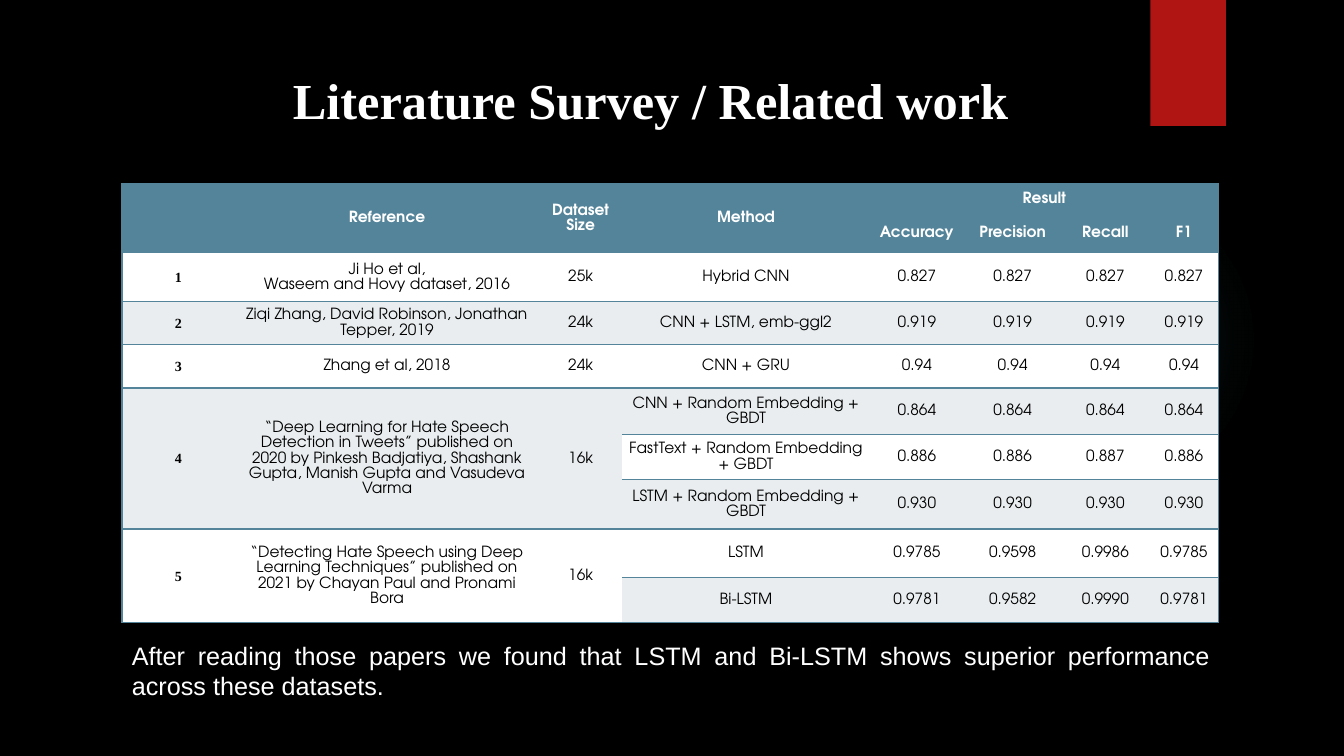
from dataclasses import dataclass
from pptx import Presentation, util as u
from pptx.dml.color import RGBColor
from pptx.enum import shapes, text
from pptx.oxml import parse_xml
from pptx.oxml.ns import nsdecls

TITLE = "Literature Survey / Related work"
CLOSING = ("After reading those papers we found that LSTM and Bi-LSTM shows "
           "superior performance across these datasets.")
HEADER = [
    ["", "Reference", "Dataset Size", "Method", "Result", None, None, None],
    [None, None, None, None, "Accuracy", "Precision", "Recall", "F1"],
]
PAPERS = [
    ("1", "Ji Ho et al,\nWaseem and Hovy dataset, 2016", "25k",
     [("Hybrid CNN", "0.827", "0.827", "0.827", "0.827")]),
    ("2", "Ziqi Zhang, David Robinson, Jonathan Tepper, 2019", "24k",
     [("CNN + LSTM, emb-ggl2", "0.919", "0.919", "0.919", "0.919")]),
    ("3", "Zhang et al, 2018", "24k",
     [("CNN + GRU", "0.94", "0.94", "0.94", "0.94")]),
    ("4", "“Deep Learning for Hate Speech Detection in Tweets” published on 2020 by "
          "Pinkesh Badjatiya, Shashank Gupta, Manish Gupta and Vasudeva Varma", "16k",
     [("CNN + Random Embedding + GBDT", "0.864", "0.864", "0.864", "0.864"),
      ("FastText + Random Embedding + GBDT", "0.886", "0.886", "0.887", "0.886"),
      ("LSTM + Random Embedding + GBDT", "0.930", "0.930", "0.930", "0.930")]),
    ("5", "“Detecting Hate Speech using Deep Learning Techniques” published on 2021 by "
          "Chayan Paul and Pronami Bora", "16k",
     [("LSTM", "0.9785", "0.9598", "0.9986", "0.9785"),
      ("Bi-LSTM", "0.9781", "0.9582", "0.9990", "0.9781")]),
]
COLUMNS = [1.12, 3.02, 0.82, 2.46, 0.93, 0.97, 0.87, 0.69]
ROWS = [0.3, 0.31, 0.48, 0.43, 0.43, 0.46, 0.45, 0.49, 0.48, 0.45]
LEFT, WIDTH, TABLE_TOP = 1.21, 10.89, 1.82
NO_GRID = "{2D5ABB26-0587-4C30-8999-92F81FD0307C}"


@dataclass(frozen=True)
class Theme:
    back: str = "000000"
    light: str = "FFFFFF"
    band: str = "E9EDEF"
    accent: str = "54849A"
    ribbon: str = "B01513"
    glow: str = "50B9C1"
    serif: str = "Times New Roman"
    sans: str = "Arial"
    grid: str = "TeX Gyre Adventor"
    title: int = 36
    closing: int = 18
    cell: int = 11
    number: int = 10


THEME = Theme()


def write(frame, content, font, size, color, align, bold=False, spacing=None):
    frame.word_wrap = True
    for index, line in enumerate(content.split("\n")):
        para = frame.add_paragraph() if index else frame.paragraphs[0]
        para.alignment = align
        if spacing:
            para.line_spacing = spacing
        span = para.add_run()
        span.text = line
        span.font.name, span.font.size, span.font.bold = font, u.Pt(size), bold
        span.font.color.rgb = RGBColor.from_string(color)


def add_text(page, area, *style, **options):
    box = page.shapes.add_textbox(*map(u.Inches, area))
    write(box.text_frame, *style, **options)


def add_block(page, kind, area, color):
    block = page.shapes.add_shape(kind, *map(u.Inches, area))
    block.shadow.inherit = False
    block.line.fill.background()
    block.fill.solid()
    block.fill.fore_color.rgb = RGBColor.from_string(color)
    return block


def add_glow(page):
    glow = add_block(page, shapes.MSO_SHAPE.OVAL, (9.41, 1.83, 3.08, 3.08), THEME.glow)
    stops = "".join(
        f'<a:gs pos="{place * 1000}"><a:srgbClr val="{THEME.glow}">'
        f'<a:alpha val="{alpha * 1000}"/></a:srgbClr></a:gs>'
        for place, alpha in ((0, 7), (36, 6), (69, 0), (100, 0)))
    gradient = parse_xml(
        f'<a:gradFill {nsdecls("a")}><a:gsLst>{stops}</a:gsLst><a:path path="circle">'
        '<a:fillToRect l="50000" t="50000" r="50000" b="50000"/></a:path></a:gradFill>')
    solid = glow.element.spPr.find(".//{*}solidFill")
    solid.getparent().replace(solid, gradient)


def add_borders(cell, sides):
    properties = cell._tc.get_or_add_tcPr()
    for side in sides:
        properties.append(parse_xml(
            f'<a:ln{side} {nsdecls("a")} w="12700"><a:solidFill>'
            f'<a:srgbClr val="{THEME.accent}"/></a:solidFill></a:ln{side}>'))


def survey_rows():
    rows = list(HEADER)
    for number, reference, size, results in PAPERS:
        for index, result in enumerate(results):
            rows.append([*((None,) * 3 if index else (number, reference, size)), *result])
    return rows


def merge_groups(table):
    table.cell(0, 4).merge(table.cell(0, 7))
    for column in range(4):
        table.cell(0, column).merge(table.cell(1, column))
    top = len(HEADER)
    for paper in PAPERS:
        bottom = top + len(paper[-1]) - 1
        if bottom > top:
            for column in range(3):
                table.cell(top, column).merge(table.cell(bottom, column))
        top = bottom + 1


def style_cell(cell, content, row, column):
    header = row < len(HEADER)
    cell.margin_left = cell.margin_right = u.Inches(0.07)
    cell.margin_top = cell.margin_bottom = 0
    cell.vertical_anchor = text.MSO_ANCHOR.MIDDLE
    if not cell.is_spanned:
        right = column + cell.span_width if cell.is_merge_origin else column + 1
        add_borders(cell, ("L" if column == 0 else "")
                    + ("R" if right == len(COLUMNS) else "") + "TB")
    cell.fill.solid()
    color = THEME.accent if header else (THEME.band if row % 2 else THEME.light)
    cell.fill.fore_color.rgb = RGBColor.from_string(color)
    if content:
        number = column == 0
        write(cell.text_frame, content, THEME.serif if number else THEME.grid,
              THEME.number if number else THEME.cell,
              THEME.light if header else THEME.back,
              text.PP_ALIGN.CENTER, bold=header or number, spacing=1.06)
    else:
        ending = cell.text_frame.paragraphs[0]._p.get_or_add_endParaRPr()
        ending.set("sz", str(THEME.cell * 100))


def add_survey(page):
    rows = survey_rows()
    area = (LEFT, TABLE_TOP, WIDTH, sum(ROWS))
    frame = page.shapes.add_table(len(rows), len(COLUMNS), *map(u.Inches, area))
    table = frame.table
    table.horz_banding = table.first_row = False
    table._tbl.tblPr.find("{*}tableStyleId").text = NO_GRID
    for column, width in zip(table.columns, COLUMNS):
        column.width = u.Inches(width)
    for row, height in zip(table.rows, ROWS):
        row.height = u.Inches(height)
    merge_groups(table)
    for row, contents in enumerate(rows):
        for column, content in enumerate(contents):
            style_cell(table.cell(row, column), content, row, column)


def main():
    deck = Presentation()
    deck.slide_width, deck.slide_height = u.Inches(13.33), u.Inches(7.5)
    page = deck.slides.add_slide(deck.slide_layouts[6])
    page.background.fill.solid()
    page.background.fill.fore_color.rgb = RGBColor.from_string(THEME.back)
    add_glow(page)
    add_block(page, shapes.MSO_SHAPE.RECTANGLE, (11.41, 0, 0.75, 1.25), THEME.ribbon)
    add_text(page, (1.31, 0.64, 10.29, 1.53), TITLE, THEME.serif, THEME.title,
             THEME.light, text.PP_ALIGN.CENTER, bold=True)
    add_survey(page)
    add_text(page, (LEFT, 6.3, WIDTH, 0.71), CLOSING, THEME.sans, THEME.closing,
             THEME.light, text.PP_ALIGN.JUSTIFY)
    deck.save("out.pptx")


if __name__ == "__main__":
    main()
